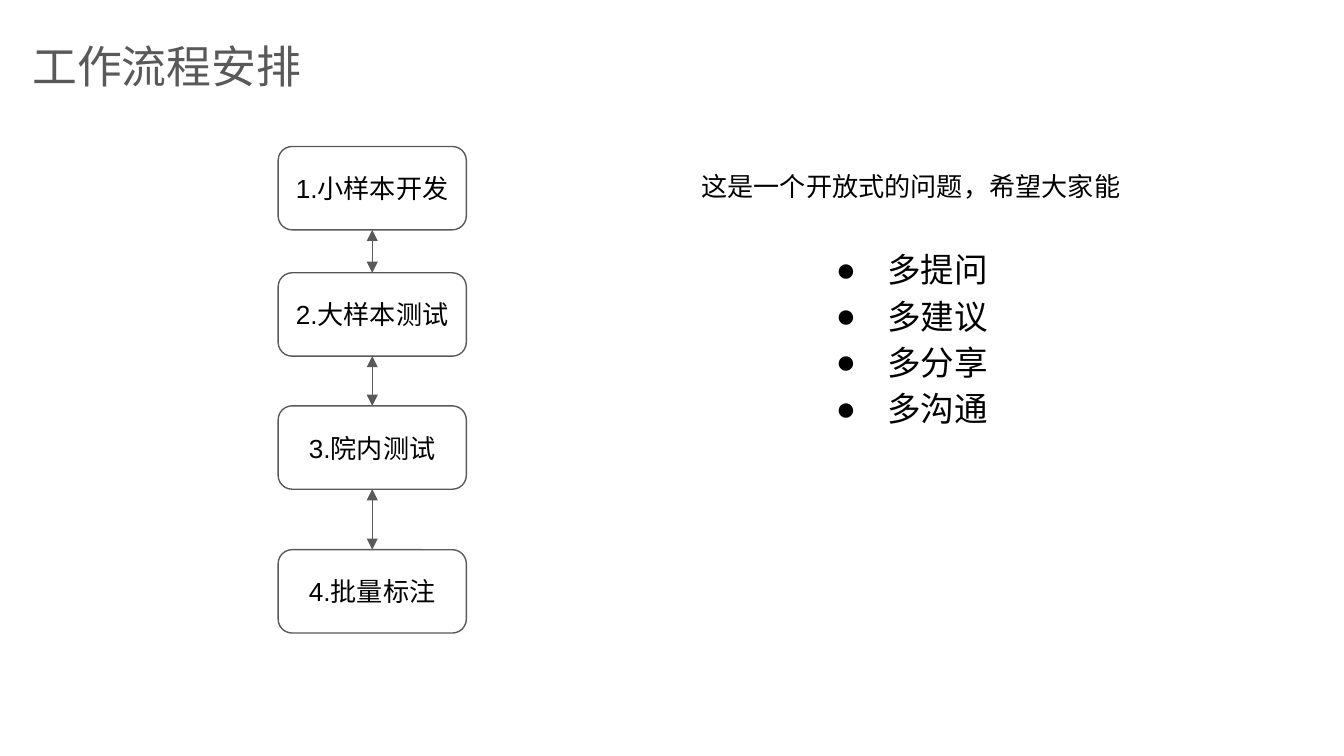
from lxml import etree
from pptx import Presentation
from pptx.dml.color import RGBColor
from pptx.enum.shapes import MSO_CONNECTOR as CONNECTOR, MSO_SHAPE as SHAPE
from pptx.enum.text import MSO_ANCHOR as ANCHOR, MSO_AUTO_SIZE as AUTO_SIZE, PP_ALIGN as ALIGN
from pptx.oxml.ns import qn
from pptx.util import Inches, Pt

GRAY, BLACK, WHITE = "595959", "000000", "FFFFFF"


def color(value):
    return RGBColor.from_string(value)


def write_text(shape, *lines, size=14, ink=BLACK, align=ALIGN.LEFT,
               anchor=ANCHOR.TOP, spacing=1.0, bullet=None):
    frame = shape.text_frame
    frame.word_wrap = True
    frame.auto_size = AUTO_SIZE.NONE
    frame.vertical_anchor = anchor
    frame.margin_left = frame.margin_right = Inches(0.1)
    frame.margin_top = frame.margin_bottom = Inches(0.1)
    frame.text = "\n".join(lines)
    for paragraph in frame.paragraphs:
        if bullet:
            props = paragraph._p.get_or_add_pPr()
            props.set("marL", str(Inches(0.5)))
            props.set("indent", str(Inches(-0.38)))
            bullet_color = etree.SubElement(props, qn("a:buClr"))
            etree.SubElement(bullet_color, qn("a:srgbClr"), val=ink)
            etree.SubElement(props, qn("a:buFont"), typeface="Arial")
            etree.SubElement(props, qn("a:buChar"), char=bullet)
        paragraph.alignment = align
        paragraph.line_spacing = spacing
        paragraph.space_before = Pt(0)
        font = paragraph.runs[0].font
        font.name, font.size = "Arial", Pt(size)
        font.color.rgb = color(ink)


# Widescreen 16:9 slide
prs = Presentation()
prs.slide_width = Inches(10)
prs.slide_height = Inches(10 * 9 / 16)
slide = prs.slides.add_slide(prs.slide_layouts[1])
shapes = slide.shapes

# Title
title = shapes.title
title.left, title.top = Inches(0.14), Inches(0.19)
title.width, title.height = Inches(7.42), Inches(0.62)
write_text(title, "工作流程安排", size=24, ink=GRAY)

# Workflow steps
steps = []
for label, top in [("1.小样本开发", 1.09), ("2.大样本测试", 2.03),
                   ("3.院内测试", 3.02), ("4.批量标注", 4.09)]:
    step = shapes.add_shape(SHAPE.ROUNDED_RECTANGLE, Inches(2.07), Inches(top),
                            Inches(1.4), Inches(0.62))
    step.shadow.inherit = False
    step.fill.solid()
    step.fill.fore_color.rgb = color(WHITE)
    step.line.color.rgb = color(GRAY)
    step.line.width = Pt(0.75)
    write_text(step, label, align=ALIGN.CENTER, anchor=ANCHOR.MIDDLE)
    steps.append(step)

# Two-way arrows between neighbouring steps
for upper, lower in zip(steps, steps[1:]):
    arrow = shapes.add_connector(CONNECTOR.STRAIGHT, 0, 0, 0, 0)
    arrow.begin_connect(upper, 2)
    arrow.end_connect(lower, 0)
    arrow.line.color.rgb = color(GRAY)
    arrow.line.width = Pt(0.75)
    line = arrow.line._get_or_add_ln()
    for end in ("a:headEnd", "a:tailEnd"):
        etree.SubElement(line, qn(end), type="triangle")
    etree.SubElement(arrow._element.spPr, qn("a:effectLst"))

# Invitation and list of requests
invitation = shapes.add_textbox(Inches(5.12), Inches(1.17), Inches(3.51), Inches(0.45))
write_text(invitation, "这是一个开放式的问题，希望大家能")

requests = slide.placeholders[1]
requests.left, requests.top = Inches(6), Inches(1.71)
requests.width, requests.height = Inches(2.87), Inches(0.74)
write_text(requests, "多提问", "多建议", "多分享", "多沟通",
           size=18, spacing=1.15, bullet="●")

prs.save("out.pptx")
